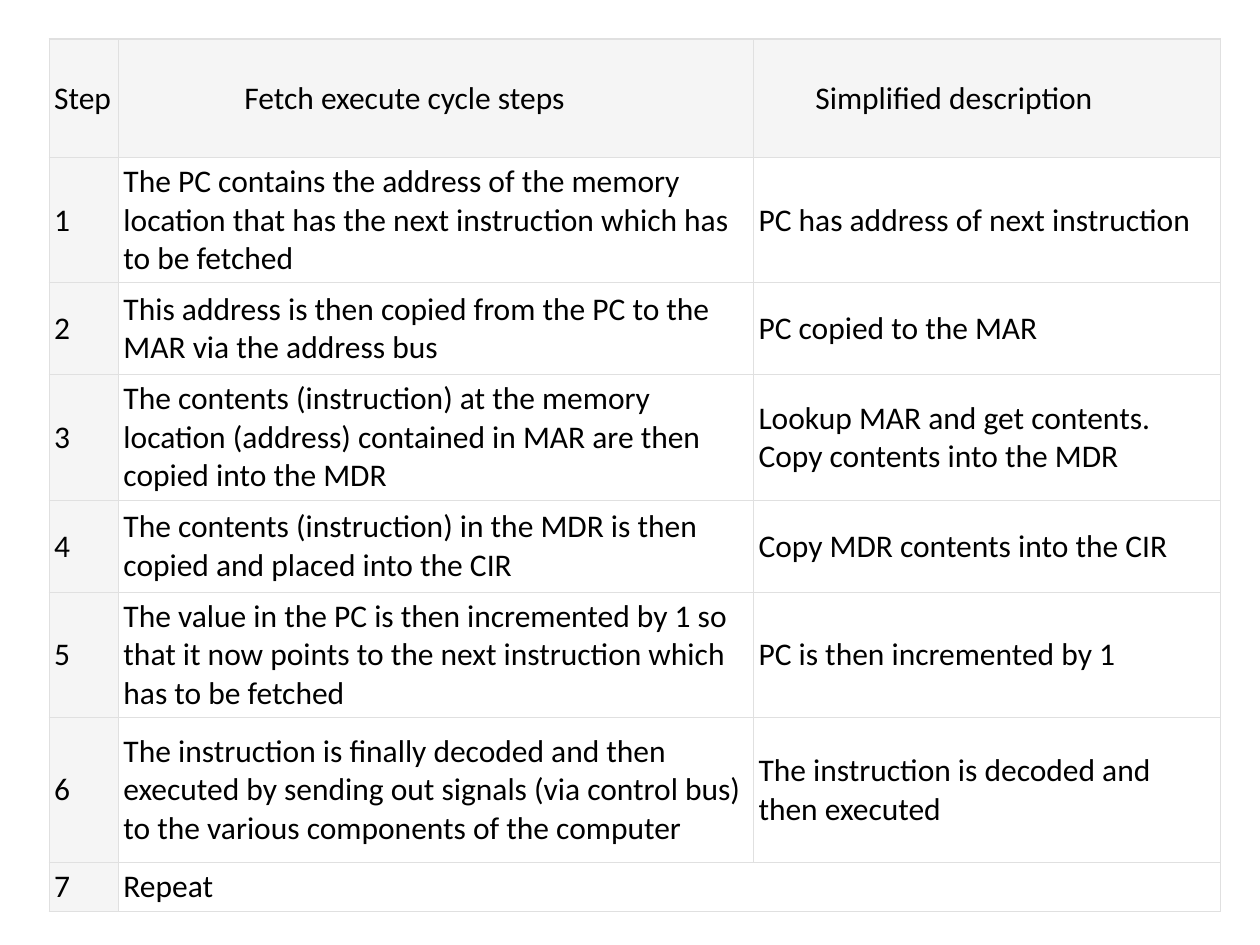
"""Build a slide with a table of the fetch execute cycle steps."""
from dataclasses import dataclass

from lxml import etree
from pptx import Presentation
from pptx.dml.color import RGBColor
from pptx.enum.text import MSO_ANCHOR
from pptx.oxml.ns import qn
from pptx.util import Pt

MIDDLE = MSO_ANCHOR.MIDDLE
BLACK = RGBColor(0x00, 0x00, 0x00)
WHITE = RGBColor(0xFF, 0xFF, 0xFF)
PALE_GRAY = RGBColor(0xF5, 0xF5, 0xF5)
BORDER_GRAY = RGBColor(0xE0, 0xE0, 0xE0)

FONT_NAME = "Calibri"
FONT_SIZE = Pt(18)
BORDER_WIDTH = Pt(0.75)
CELL_MARGIN = Pt(2.88)
HEADER_MARGINS = (CELL_MARGIN, Pt(72), Pt(35.4))
COLUMN_WIDTHS = (Pt(39.6), Pt(362.9), Pt(267.1))


@dataclass(frozen=True)
class Step:
    label: str
    detail: str
    summary: str
    height: float


STEPS = (
    Step("Step", "Fetch execute cycle steps", "Simplified description", 67.7),
    Step("1", "The PC contains the address of the memory location that has the next "
         "instruction which has to be fetched",
         "PC has address of next instruction", 70.6),
    Step("2", "This address is then copied from the PC to the MAR via the address bus",
         "PC copied to the MAR", 52.6),
    Step("3", "The contents (instruction) at the memory location (address) contained "
         "in MAR are then copied into the MDR",
         "Lookup MAR and get contents. Copy contents into the MDR", 70.6),
    Step("4", "The contents (instruction) in the MDR is then copied and placed into "
         "the CIR",
         "Copy MDR contents into the CIR", 52.6),
    Step("5", "The value in the PC is then incremented by 1 so that it now points to "
         "the next instruction which has to be fetched",
         "PC is then incremented by 1", 70.6),
    Step("6", "The instruction is finally decoded and then executed by sending out "
         "signals (via control bus) to the various components of the computer",
         "The instruction is decoded and then executed", 82.8),
    Step("7", "Repeat", "", 27.4),
)


def add_borders(cell) -> None:
    """Outline the four sides of a cell."""
    properties = cell._tc.get_or_add_tcPr()
    for side in ("a:lnL", "a:lnR", "a:lnT", "a:lnB"):
        line = etree.SubElement(properties, qn(side), w=str(BORDER_WIDTH))
        fill = etree.SubElement(line, qn("a:solidFill"))
        etree.SubElement(fill, qn("a:srgbClr"), val=str(BORDER_GRAY))


def fill_cell(cell, text: str, color: RGBColor, left_margin: Pt) -> None:
    """Write and format one table cell."""
    add_borders(cell)
    cell.fill.solid()
    cell.fill.fore_color.rgb = color
    cell.vertical_anchor = MIDDLE
    cell.margin_left = left_margin
    cell.margin_right = cell.margin_top = cell.margin_bottom = CELL_MARGIN
    cell.text_frame.text = text
    font = cell.text_frame.paragraphs[0].font
    font.name, font.size, font.bold = FONT_NAME, FONT_SIZE, False
    font.color.rgb = BLACK
    for span in cell.text_frame.paragraphs[0].runs:
        span.font.name, span.font.size = FONT_NAME, FONT_SIZE
        span.font.color.rgb = BLACK


def add_steps_table(page, steps: tuple[Step, ...]) -> None:
    """Draw the table with a shaded header row and step column."""
    frame = page.shapes.add_table(
        len(steps), len(COLUMN_WIDTHS), Pt(28.1), Pt(22.3),
        sum(COLUMN_WIDTHS), Pt(sum(step.height for step in steps)))
    table = frame.table
    table.first_row = table.horz_banding = False
    for column, width in zip(table.columns, COLUMN_WIDTHS):
        column.width = width
    for row_index, step in enumerate(steps):
        table.rows[row_index].height = Pt(step.height)
        for column_index, text in enumerate((step.label, step.detail, step.summary)):
            is_header = row_index == 0
            color = PALE_GRAY if is_header or column_index == 0 else WHITE
            margin = HEADER_MARGINS[column_index] if is_header else CELL_MARGIN
            fill_cell(table.cell(row_index, column_index), text, color, margin)
    last_row = len(steps) - 1
    table.cell(last_row, 1).merge(table.cell(last_row, 2))


def main() -> None:
    """Create and save the deck."""
    deck = Presentation()
    deck.slide_width, deck.slide_height = Pt(720), Pt(540)
    page = deck.slides.add_slide(deck.slide_layouts[6])
    add_steps_table(page, STEPS)
    deck.save("out.pptx")


if __name__ == "__main__":
    main()
